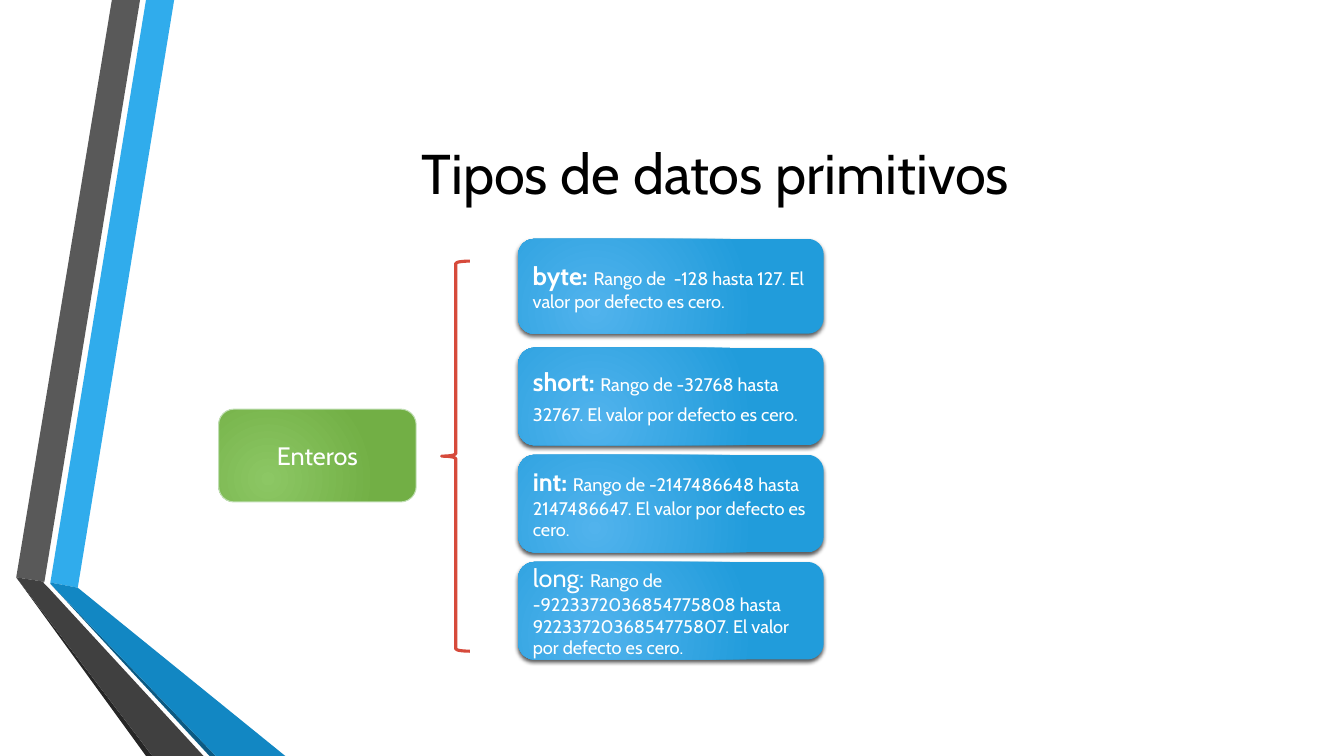
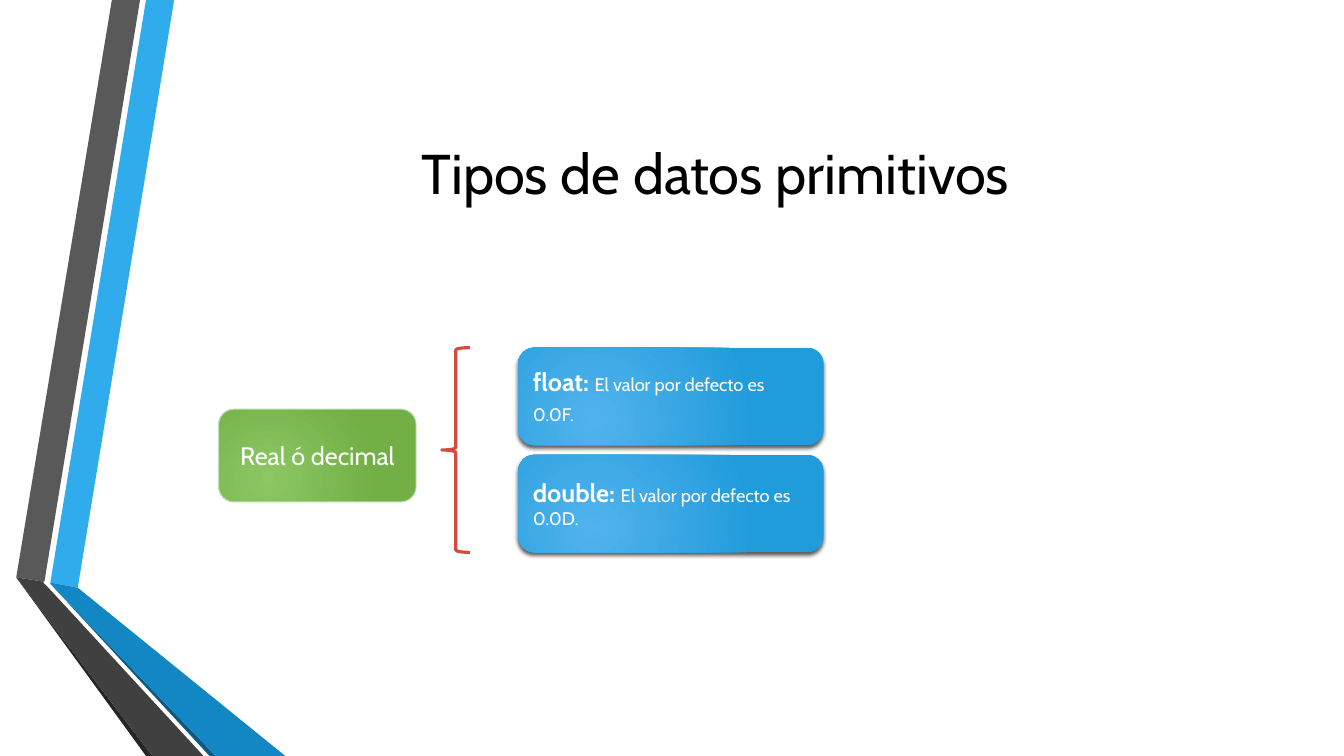
from lxml import etree
from pptx import Presentation
from pptx import util as u
from pptx.dml.color import RGBColor
from pptx.enum import shapes, text
from pptx.oxml import parse_xml
from pptx.oxml.ns import qn

NS = 'xmlns:a="http://schemas.openxmlformats.org/drawingml/2006/main"'
FONT = "Cabin"
BLACK, WHITE, RED = "000000", "FFFFFF", "D64A3B"
BLUES, GREENS, RIM = ("51B3ED", "219CDB"), ("8CC764", "72AF45"), "C0DEB3"

# Side ribbon: colour and corner points in cm, from back to front
BANDS = [
    ("30ACEC", [(1.27, 14.68), (1.96, 14.81), (4.39, 0), (3.68, 0)]),
    ("595959", [(3.53, 0), (2.82, 0), (0.41, 14.55), (1.12, 14.66)]),
    ("262626", [(0.41, 14.55), (3.68, 19.05), (3.84, 19.05)]),
    ("0C5A82", [(1.27, 14.71), (5.28, 19.05), (5.44, 19.05)]),
    ("1287C3", [(1.27, 14.71), (5.44, 19.05), (7.19, 19.05),
                (1.96, 14.81), (1.27, 14.68)]),
    ("404040", [(5.13, 19.05), (1.22, 14.81), (1.09, 14.68),
                (1.12, 14.66), (0.41, 14.55), (3.84, 19.05)]),
]

# Rows of type boxes: top and height in cm
ROWS = [(6.02, 2.39), (8.76, 2.46), (11.46, 2.46), (14.16, 2.46)]


def rgb(code):
    return RGBColor.from_string(code)


def cm(*nums):
    return [u.Cm(n) for n in nums]


class Deck:
    def __init__(self):
        self.prs = Presentation()
        self.prs.slide_width, self.prs.slide_height = cm(33.87, 19.05)
        self.base = self.prs.slide_layouts[5]
        self.page = None

    def slide(self, title):
        first = self.page is None
        self.page = self.prs.slides.add_slide(self.base)
        if first:
            self.ribbon()
        self.title(title)

    def ribbon(self):
        # Drawn once, then moved to the layout that all slides share
        tree = self.base.shapes._spTree
        for spot, (color, dots) in enumerate(BANDS, 2):
            start, *rest = [cm(*dot) for dot in dots]
            pen = self.page.shapes.build_freeform(*start)
            pen.add_line_segments(rest, close=True)
            band = pen.convert_to_shape()
            band.shadow.inherit = False
            band.fill.solid()
            band.fill.fore_color.rgb = rgb(color)
            band.line.fill.background()
            tree.insert(spot, band._element)

    def style(self, run, size, color=WHITE, bold=False):
        font = run.font
        font.name, font.size, font.bold = FONT, u.Pt(size), bold
        font.color.rgb = rgb(color)

    def title(self, words):
        head = self.page.shapes.title
        head.left, head.top, head.width, head.height = cm(4.11, 1.9, 27.84, 4.88)
        head.text_frame.text = words
        head.text_frame.vertical_anchor = text.MSO_ANCHOR.MIDDLE
        par = head.text_frame.paragraphs[0]
        par.alignment = text.PP_ALIGN.CENTER
        self.style(par.runs[0], 40, BLACK)

    def box(self, place, shades, parts, align):
        """Rounded box; parts are (words, size, bold)."""
        box = self.page.shapes.add_shape(
            shapes.MSO_SHAPE.ROUNDED_RECTANGLE, *cm(*place))
        box.shadow.inherit = False
        self.glow(box, shades)
        box.line.fill.background()
        frame = box.text_frame
        frame.word_wrap = True
        frame.vertical_anchor = text.MSO_ANCHOR.MIDDLE
        par = frame.paragraphs[0]
        par.alignment = align
        for words, size, bold in parts:
            run = par.add_run()
            run.text = words
            self.style(run, size, bold=bold)
        return box

    def glow(self, box, shades):
        # Radial gradient
        box.fill.gradient()
        for stop, shade in zip(box.fill.gradient_stops, shades):
            stop.color.rgb = rgb(shade)
        grad = box._element.spPr.find(qn("a:gradFill"))
        grad.remove(grad.find(qn("a:lin")))
        grad.append(parse_xml(
            f'<a:path {NS} path="circle"><a:fillToRect l="50000" t="100000" '
            'r="100000" b="50000"/></a:path>'))

    def shade(self, box):
        # Soft shadow below
        drop = etree.SubElement(
            box._element.spPr.find(qn("a:effectLst")), qn("a:outerShdw"),
            blurRad=str(u.Pt(3)), dist=str(u.Pt(2)), dir="5400000",
            algn="ctr", rotWithShape="0")
        color = etree.SubElement(drop, qn("a:srgbClr"), val=BLACK)
        etree.SubElement(color, qn("a:alpha"), val="64000")

    def group(self, words):
        box = self.box((5.51, 10.31, 4.98, 2.34), GREENS,
                       [(words, 18, False)], text.PP_ALIGN.CENTER)
        box.line.color.rgb = rgb(RIM)
        box.line.width = u.Pt(0.75)

    def brace(self, top, tall):
        brace = self.page.shapes.add_shape(
            shapes.MSO_SHAPE.LEFT_BRACE, *cm(11.13, top, 0.71, tall))
        brace.shadow.inherit = False
        brace.fill.background()
        brace.line.color.rgb = rgb(RED)
        brace.line.width = u.Pt(2.25)

    def kind(self, row, name, about, bold=True, tail=""):
        top, tall = ROWS[row]
        parts = [(name + ": ", 18, bold), (about, 13, False)]
        if tail:
            parts.append((tail, 18, False))
        self.shade(self.box((13.06, top, 7.7, tall), BLUES, parts,
                            text.PP_ALIGN.LEFT))


def main():
    deck = Deck()
    title = "Tipos de datos primitivos"
    zero = "El valor por defecto es cero."

    # Whole numbers
    deck.slide(title)
    deck.group("Enteros")
    deck.brace(6.58, 9.83)
    deck.kind(0, "byte", f"Rango de  -128 hasta 127. {zero}")
    deck.kind(1, "short", f"Rango de -32768 hasta 32767. {zero}", tail=" ")
    deck.kind(2, "int", f"Rango de -2147486648 hasta 2147486647. {zero}")
    deck.kind(3, "long", "Rango de -9223372036854775808 hasta "
              f"9223372036854775807. {zero}", bold=False)

    # Decimals
    deck.slide(title)
    deck.group("Real ó decimal")
    deck.brace(8.76, 5.16)
    deck.kind(1, "float", "El valor por defecto es 0.0F.", tail=" ")
    deck.kind(2, "double", "El valor por defecto es 0.0D.")

    deck.prs.save("out.pptx")


if __name__ == "__main__":
    main()
